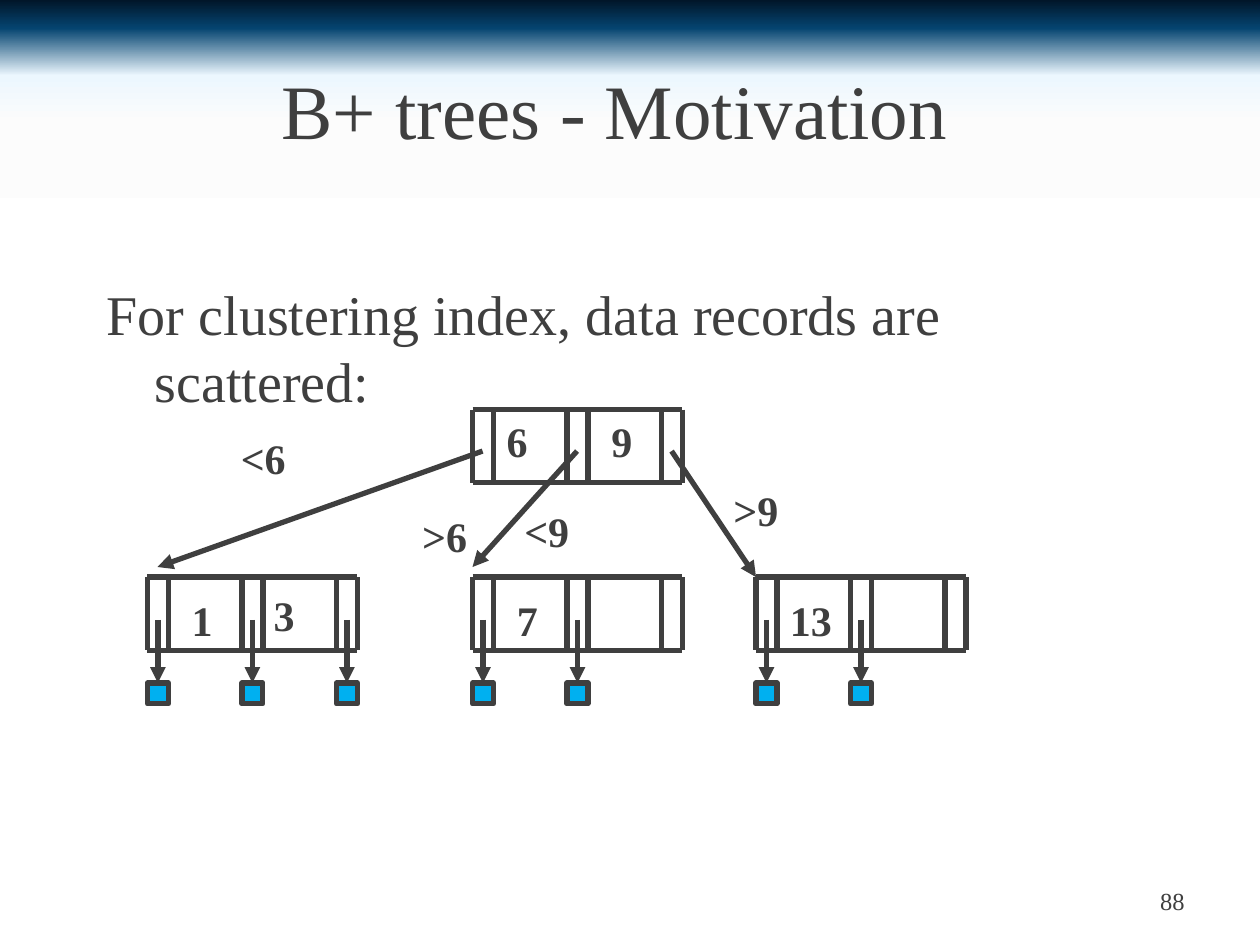
from lxml import etree
from pptx import Presentation
from pptx.dml.color import RGBColor
from pptx.enum.shapes import MSO_CONNECTOR, MSO_SHAPE
from pptx.enum.text import MSO_ANCHOR, PP_ALIGN
from pptx.oxml.ns import qn
from pptx.util import Inches, Pt

LEFT, MID, RIGHT = PP_ALIGN.LEFT, PP_ALIGN.CENTER, PP_ALIGN.RIGHT
TOP, CENTRE = MSO_ANCHOR.TOP, MSO_ANCHOR.MIDDLE
STRAIGHT, RECT = MSO_CONNECTOR.STRAIGHT, MSO_SHAPE.RECTANGLE

FONT = "Times New Roman"
INK = RGBColor(0x3F, 0x3F, 0x3F)
BLUE = RGBColor(0x00, 0xB0, 0xF0)
SKY = [(0, "011629"), (3, "054470"), (8, "ECF7FE"),
       (13, "FCFCFC"), (21, "FFFFFF"), (98, "FFFFFF")]

TITLE = "B+ trees - Motivation"
BODY = "For clustering index, data records are scattered:"
NUMBER = "88"

# Nodes: left, top, number of data records below
NODES = [(3.75, 3.25, 0), (6, 4.58, 2), (3.75, 4.58, 2), (1.17, 4.58, 3)]
# Branches from the root: start x, end x, end y
BRANCHES = [(3.83, 1.25, 4.5), (4.58, 3.75, 4.5), (5.33, 6, 4.58)]
BRANCH_TOP = 3.58
# Keys and branch conditions: text, left, top, width
LABELS = [
    ("1", 1.42, 4.67, 0.37), ("3", 2.07, 4.63, 0.37),
    ("6", 3.92, 3.25, 0.37), ("7", 4, 4.67, 0.37),
    ("9", 4.75, 3.25, 0.37), ("13", 6.17, 4.67, 0.53),
    ("<6", 1.81, 3.38, 0.56), (">6", 3.25, 4, 0.56),
    ("<9", 4.06, 3.96, 0.56), (">9", 5.72, 3.8, 0.56),
]

PITCH, SLOT, TALL = 0.75, 1 / 6, 0.58
WIDE = 2 * PITCH + SLOT
STEM, DROP = 0.34, 0.84  # pointer start and end below the node top


def paint_sky(slide):
    """Fill the background with a vertical gradient of all the stops."""
    fill = slide.background.fill
    fill.gradient()
    fill.gradient_angle = 270
    stops = next(slide.background._cSld.iter(qn("a:gsLst")))
    for old in list(stops):
        stops.remove(old)
    for pos, tone in SKY:
        stop = etree.SubElement(stops, qn("a:gs"), pos=str(pos * 1000))
        etree.SubElement(stop, qn("a:srgbClr"), val=tone)


def add_text(slide, text, x, y, w, h, size=24, bold=False, align=LEFT,
             anchor=TOP, wrap=True, hang=0):
    box = slide.shapes.add_textbox(Inches(x), Inches(y), Inches(w), Inches(h))
    frame = box.text_frame
    frame.word_wrap = wrap
    frame.vertical_anchor = anchor
    para = frame.paragraphs[0]
    para.alignment = align
    if hang:
        props = para._p.get_or_add_pPr()
        props.set("marL", str(Inches(hang)))
        props.set("indent", str(-Inches(hang)))
    run = para.add_run()
    run.text = text
    font = run.font
    font.name, font.size, font.bold = FONT, Pt(size), bold
    font.color.rgb = INK


def add_line(slide, x1, y1, x2, y2, arrow=False):
    line = slide.shapes.add_connector(
        STRAIGHT, Inches(x1), Inches(y1), Inches(x2), Inches(y2))
    line.line.color.rgb = INK
    line.line.width = Pt(3)
    if arrow:
        etree.SubElement(line.line._get_or_add_ln(), qn("a:tailEnd"),
                         type="triangle")
    etree.SubElement(line._element.spPr, qn("a:effectLst"))


def add_node(slide, x, y, count):
    """Draw a node of three pointer slots, with its data records."""
    for i in range(3):
        for side in (x + i * PITCH, x + i * PITCH + SLOT):
            add_line(slide, side, y, side, y + TALL)
    for edge in (y, y + TALL):
        add_line(slide, x, edge, x + WIDE, edge)
    for i in range(count):
        left = x + i * PITCH
        mid = left + SLOT / 2
        add_line(slide, mid, y + STEM, mid, y + DROP, arrow=True)
        rec = slide.shapes.add_shape(RECT, Inches(left), Inches(y + DROP),
                                     Inches(SLOT), Inches(SLOT))
        rec.shadow.inherit = False
        rec.fill.solid()
        rec.fill.fore_color.rgb = BLUE
        rec.line.color.rgb = INK
        rec.line.width = Pt(3)


def main():
    deck = Presentation()
    deck.slide_width, deck.slide_height = Inches(10), Inches(7.5)
    slide = deck.slides.add_slide(deck.slide_layouts[6])
    paint_sky(slide)
    add_text(slide, NUMBER, 7.17, 6.95, 2.33, 0.4, size=14, align=RIGHT,
             anchor=CENTRE)
    add_text(slide, TITLE, 0.17, 0.3, 9.42, 1.12, size=44, align=MID,
             anchor=CENTRE)
    add_text(slide, BODY, 0.75, 2.17, 8.5, 0.67, size=32, hang=0.38)
    for node in NODES:
        add_node(slide, *node)
    for start, end, low in BRANCHES:
        add_line(slide, start, BRANCH_TOP, end, low, arrow=True)
    for text, x, y, w in LABELS:
        add_text(slide, text, x, y, w, 0.5, bold=True, align=MID, wrap=False)
    deck.save("out.pptx")


if __name__ == "__main__":
    main()
